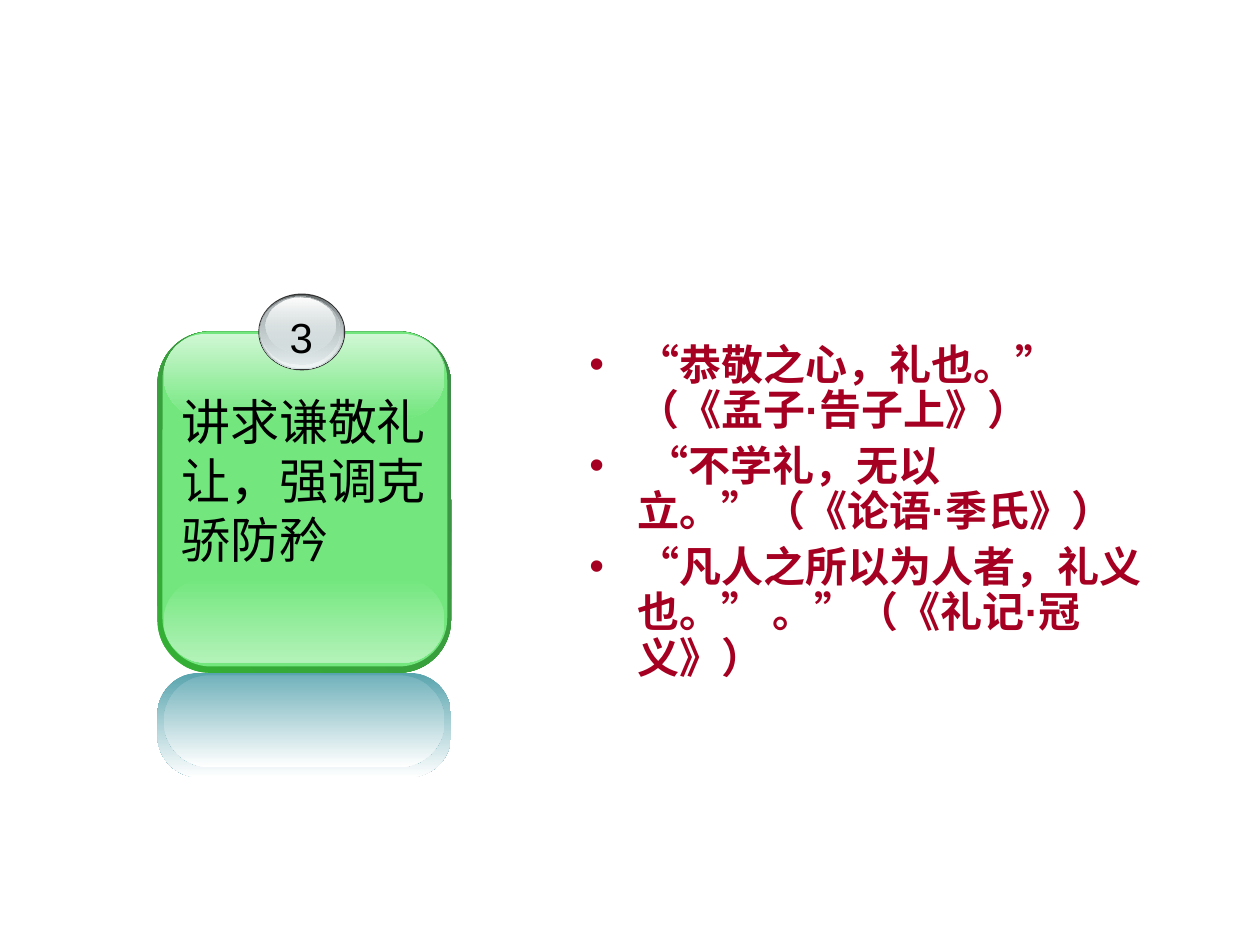
from lxml.etree import SubElement
from pptx import Presentation
from pptx.dml.color import RGBColor
from pptx.enum.lang import MSO_LANGUAGE_ID
from pptx.enum.shapes import MSO_SHAPE
from pptx.enum.text import MSO_AUTO_SIZE, PP_ALIGN
from pptx.oxml.ns import qn
from pptx.util import Inches, Pt

CRIMSON = "A50021"
HAN_FACE = "Noto Sans CJK SC"
QUOTES = [
    "“恭敬之心，礼也。” （《孟子·告子上》）",
    " “不学礼，无以立。”（《论语·季氏》）",
    "“凡人之所以为人者，礼义也。” 。”（《礼记·冠义》）",
]


def color(value):
    return RGBColor.from_string(value)


def add_panel(slide, kind, box, stops, angle=90, corner=None):
    panel = slide.shapes.add_shape(kind, *map(Inches, box))
    panel.shadow.inherit = False
    panel.line.fill.background()
    if corner is not None:
        panel.adjustments[0] = corner
    if len(stops) == 1:
        panel.fill.solid()
        panel.fill.fore_color.rgb = color(stops[0])
        return
    panel.fill.gradient()
    panel.fill.gradient_angle = (360 - angle) % 360
    for stop, value in zip(panel.fill.gradient_stops, stops):
        stop.color.rgb = color(value[:6])
    for node, value in zip(panel._element.spPr.iter(qn("a:srgbClr")), stops):
        if "@" in value:
            opacity = int(value.split("@")[1])
            SubElement(node, qn("a:alpha")).set("val", str(opacity * 1000))


def add_text_frame(slide, box, wrap=True):
    frame = slide.shapes.add_textbox(*map(Inches, box)).text_frame
    frame.word_wrap = wrap
    return frame


def add_run(paragraph, text, face, han_face, **formats):
    run = paragraph.add_run()
    run.text = text
    run.font.name = face
    SubElement(run._r.get_or_add_rPr(), qn("a:ea")).set("typeface", han_face)
    run.font.language_id = MSO_LANGUAGE_ID.SIMPLIFIED_CHINESE
    run.font.color.rgb = color(formats.pop("rgb", "000000"))
    for name, value in formats.items():
        setattr(run.font, name, value)


def add_label(slide, box, text, face, size, align, wrap=True):
    frame = add_text_frame(slide, box, wrap)
    frame.auto_size = MSO_AUTO_SIZE.SHAPE_TO_FIT_TEXT
    frame.paragraphs[0].alignment = align
    add_run(frame.paragraphs[0], text, face, face, size=Pt(size))


def add_bullet(paragraph):
    properties = paragraph._p.get_or_add_pPr()
    properties.set("marL", str(Inches(0.38)))
    properties.set("indent", str(-Inches(0.38)))
    bullet_color = SubElement(properties, qn("a:buClr"))
    SubElement(bullet_color, qn("a:srgbClr")).set("val", CRIMSON)
    SubElement(properties, qn("a:buFont")).set("typeface", "Arial")
    SubElement(properties, qn("a:buChar")).set("char", "•")


def split_by_face(text):
    pieces = []
    for letter in text:
        faces = ("Arial" if letter in "“”·" else HAN_FACE,
                 "Arial" if letter == "·" else HAN_FACE)
        if pieces and pieces[-1][1] == faces:
            pieces[-1][0] += letter
        else:
            pieces.append([letter, faces])
    return pieces


def add_quotes(slide, box):
    frame = add_text_frame(slide, box)
    for index, quote in enumerate(QUOTES):
        paragraph = frame.add_paragraph() if index else frame.paragraphs[0]
        add_bullet(paragraph)
        paragraph.line_spacing = 0.9
        paragraph.space_before = Pt(6 if index else 0)
        for text, faces in split_by_face(quote):
            add_run(paragraph, text, *faces, rgb=CRIMSON, size=Pt(24), bold=True)


def add_card(slide):
    rounded = MSO_SHAPE.ROUNDED_RECTANGLE
    add_panel(slide, rounded, (1.25, 2.63, 2.33, 2.71), ["34B034", "3F8B4A"], 315, 0.18)
    add_panel(slide, rounded, (1.29, 2.63, 2.26, 2.66), ["73E77E"], corner=0.17)
    add_panel(slide, rounded, (1.3, 4.59, 2.23, 0.67), ["73E77E", "B3F2B9"], corner=0.5)
    add_panel(slide, rounded, (1.3, 2.65, 2.23, 0.67), ["D0F7D4", "73E77E"], corner=0.5)


def add_badge(slide):
    layers = [
        ((2.05, 2.33, 0.69, 0.61), ["333333"]),
        ((2.06, 2.34, 0.67, 0.59), ["636869", "D6E1E2"]),
        ((2.07, 2.34, 0.65, 0.58), ["D6E1E2@0", "F1F5F5"]),
        ((2.07, 2.35, 0.62, 0.54), ["AAB2B3", "D6E1E2@48"]),
        ((2.11, 2.36, 0.55, 0.44), ["FFFFFF", "D6E1E2@38"]),
    ]
    for box, stops in layers:
        add_panel(slide, MSO_SHAPE.OVAL, box, stops)


def add_reflection(slide):
    rounded = MSO_SHAPE.ROUNDED_RECTANGLE
    add_panel(slide, rounded, (1.25, 5.34, 2.33, 0.83), ["58A4AE", "FFFFFF"], corner=0.4)
    add_panel(slide, rounded, (1.3, 5.36, 2.23, 0.73), ["72B2BB", "FFFFFF"], corner=0.5)


def main():
    deck = Presentation()
    deck.slide_width, deck.slide_height = Inches(10), Inches(7.5)
    slide = deck.slides.add_slide(deck.slide_layouts[6])
    add_card(slide)
    add_badge(slide)
    add_label(slide, (2.2, 2.42, 0.38, 0.5), "3", "Arial", 24, PP_ALIGN.CENTER, False)
    add_label(slide, (1.34, 3.06, 2.22, 1.5), "讲求谦敬礼让，强调克骄防矜",
              "DejaVu Sans", 28, PP_ALIGN.LEFT)
    add_reflection(slide)
    add_quotes(slide, (4.58, 2.68, 4.75, 2.9))
    deck.save("out.pptx")


if __name__ == "__main__":
    main()
